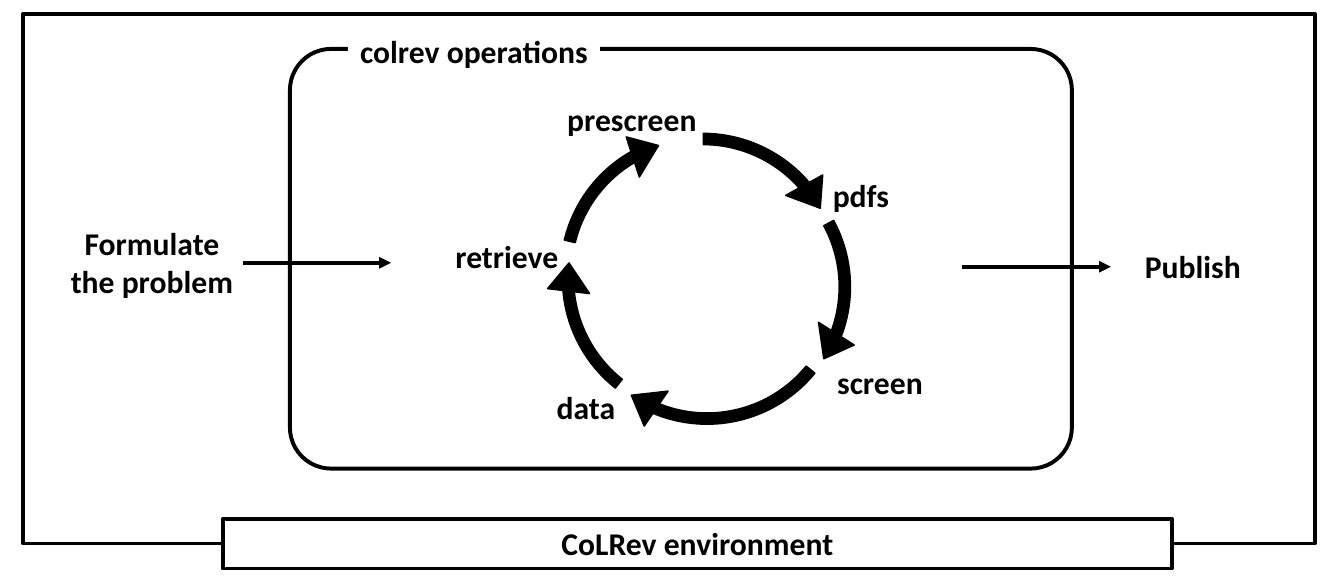
"""Draw the operations cycle inside its environment."""
from typing import NamedTuple

from lxml.etree import SubElement
from pptx import Presentation
from pptx.dml.color import RGBColor
from pptx.enum.shapes import MSO_CONNECTOR, MSO_SHAPE
from pptx.enum.text import MSO_ANCHOR, MSO_AUTO_SIZE, PP_ALIGN
from pptx.oxml.ns import qn
from pptx.util import Cm, Emu, Pt

SCALE = 914400 / 113.8
COLORS = {"ink": "000000", "paper": "FFFFFF"}
FONT = "Calibri"
STROKE = 2.5
ROW = 50
WIDE = 192
RING = 310


class Box(NamedTuple):
    left: int
    top: int
    width: int
    height: int = ROW


class Label(NamedTuple):
    text: str
    box: Box


class Turn(NamedTuple):
    left: int
    top: int
    angle: float
    start: float


class Arrow(NamedTuple):
    left: int
    right: int
    level: int


FRAME = Box(290, 49, 782, 420)
BORDER = Box(23, 14, 1292, 530)
TITLE = Label("colrev operations", Box(348, 26, 252))
BASE = Label("CoLRev environment", Box(223, 519, 949))
LABELS = [
    Label("Formulate the problem", Box(50, 219, 204, 88)),
    Label("retrieve", Box(411, 232, WIDE)),
    Label("prescreen", Box(536, 94, WIDE)),
    Label("pdfs", Box(765, 170, WIDE)),
    Label("screen", Box(784, 358, WIDE)),
    Label("data", Box(490, 383, WIDE)),
    Label("Publish", Box(1116, 242, 154)),
]
TURNS = [
    Turn(548, 118, 333.8, 177.84),
    Turn(545, 118, 254.6, 179.41),
    Turn(552, 130, 127, 163.43),
    Turn(547, 124, 189.4, 179.41),
    Turn(556, 132, 35.2, 177.84),
]
ARROWS = [Arrow(243, 391, 263), Arrow(962, 1111, 267)]


def px(count: int) -> Emu:
    return Emu(round(count * SCALE))


def color(name: str) -> RGBColor:
    return RGBColor.from_string(COLORS[name])


def draw_shape(kind: MSO_SHAPE, box: Box, fill: str = "", width: float = STROKE):
    shape = slide.shapes.add_shape(kind, *map(px, box))
    shape.shadow.inherit = False
    if fill:
        shape.fill.solid()
        shape.fill.fore_color.rgb = color(fill)
    else:
        shape.fill.background()
    if width:
        shape.line.color.rgb = color("ink")
        shape.line.width = Pt(width)
    else:
        shape.line.fill.background()
    return shape


def write(shape, text: str) -> None:
    frame = shape.text_frame
    frame.word_wrap = True
    frame.auto_size = MSO_AUTO_SIZE.SHAPE_TO_FIT_TEXT
    frame.vertical_anchor = MSO_ANCHOR.TOP
    para = frame.paragraphs[0]
    para.alignment = PP_ALIGN.CENTER
    run = para.add_run()
    run.text = text
    run.font.name = FONT
    run.font.size = Pt(20)
    run.font.bold = True
    run.font.color.rgb = color("ink")


def draw_label(label: Label) -> None:
    write(slide.shapes.add_textbox(*map(px, label.box)), label.text)


def draw_turn(turn: Turn) -> None:
    box = Box(turn.left, turn.top, RING, RING)
    shape = draw_shape(MSO_SHAPE.CIRCULAR_ARROW, box, "ink", 1)
    shape.rotation = turn.angle
    for index, value in enumerate((0.036, 7.21, 207.2, turn.start, 0.068)):
        shape.adjustments[index] = value


def draw_arrow(arrow: Arrow) -> None:
    ends = (arrow.left, arrow.level, arrow.right, arrow.level)
    link = slide.shapes.add_connector(MSO_CONNECTOR.STRAIGHT, *map(px, ends))
    link.line.color.rgb = color("ink")
    link.line.width = Pt(STROKE)
    props = link._element.spPr
    SubElement(props.find(qn("a:ln")), qn("a:tailEnd"), type="triangle")
    SubElement(props, qn("a:effectLst"))


deck = Presentation()
deck.slide_width, deck.slide_height = Cm(30), Cm(13)
slide = deck.slides.add_slide(deck.slide_layouts[6])

draw_shape(MSO_SHAPE.ROUNDED_RECTANGLE, FRAME).adjustments[0] = 0.098
write(draw_shape(MSO_SHAPE.RECTANGLE, TITLE.box, "paper", 0), TITLE.text)
for label in LABELS:
    draw_label(label)
for turn in TURNS:
    draw_turn(turn)
for arrow in ARROWS:
    draw_arrow(arrow)
draw_shape(MSO_SHAPE.RECTANGLE, BORDER)
write(draw_shape(MSO_SHAPE.RECTANGLE, BASE.box, "paper"), BASE.text)

deck.save("out.pptx")
